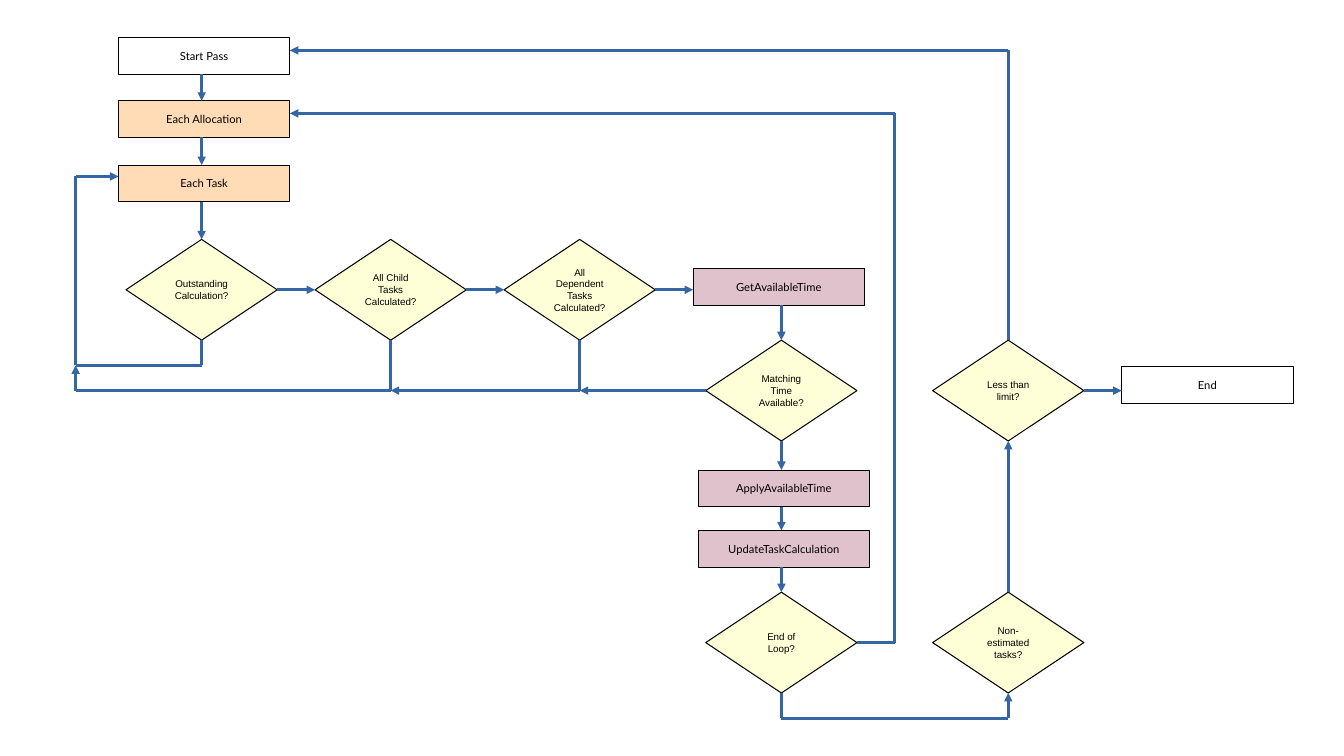
import pptx
import pptx.dml.color
import pptx.enum.shapes
import pptx.enum.text
import pptx.oxml
import pptx.oxml.ns
import pptx.util

CELL = 0.125
STEP_SIZE = (13.6, 2.9)
DECISION_SIZE = (12, 8)
TOP, LEFT, BOTTOM, RIGHT = range(4)
WHITE, ORANGE, PINK, YELLOW = "FFFFFF", "FFDBB6", "E0C2CD", "FFFFD7"
BLACK, BLUE = "000000", "3465A4"


def grid(cells):
    """Turn a count of grid cells into a length."""
    return pptx.util.Inches(cells * CELL)


def paint(target, colour):
    """Apply a hex colour to a fill."""
    target.solid()
    target.fore_color.rgb = pptx.dml.color.RGBColor.from_string(colour)


def write(shape, text, font="Lato", size=8, colour=BLACK, insets=(0.09, 0.04)):
    """Put centred, formatted text into a shape."""
    frame = shape.text_frame
    frame.word_wrap = True
    frame.vertical_anchor = pptx.enum.text.MSO_ANCHOR.MIDDLE
    frame.margin_left = frame.margin_right = pptx.util.Inches(insets[0])
    frame.margin_top = frame.margin_bottom = pptx.util.Inches(insets[1])
    paragraph = frame.paragraphs[0]
    paragraph.alignment = pptx.enum.text.PP_ALIGN.CENTER
    run = paragraph.add_run()
    run.text = text
    run.font.name = font
    run.font.size = pptx.util.Pt(size)
    paint(run.font.fill, colour)


def add_node(slide, preset, column, row, size, fill, outline):
    """Add an outlined shape with its top left corner on the grid."""
    node = slide.shapes.add_shape(preset, *map(grid, (column, row, *size)))
    node.shadow.inherit = False
    paint(node.fill, fill)
    paint(node.line.fill, BLACK)
    node.line.width = pptx.util.Pt(outline)
    return node


def add_step(slide, text, column, row, fill):
    """Add a rectangular process step."""
    kind = pptx.enum.shapes.MSO_SHAPE.RECTANGLE
    write(add_node(slide, kind, column, row, STEP_SIZE, fill, 0.5), text)


def add_decision(slide, text, column, row):
    """Add a decision diamond centred on a grid point."""
    width, height = DECISION_SIZE
    kind = pptx.enum.shapes.MSO_SHAPE.DIAMOND
    decision = add_node(slide, kind, column - width / 2, row - height / 2,
                        DECISION_SIZE, YELLOW, 0)
    write(decision, text, font="Arial", size=7, insets=(0.1, 0.05))
    return decision


def add_route(slide, *points, start=None, end=None, arrow=True):
    """Join grid points with straight lines, attached to decisions at the ends."""
    segments = []
    for a, b in zip(points, points[1:]):
        segment = slide.shapes.add_connector(
            pptx.enum.shapes.MSO_CONNECTOR.STRAIGHT, *map(grid, (*a, *b)))
        paint(segment.line.fill, BLUE)
        segment.line.width = pptx.util.Pt(0)
        segment.element.spPr.append(pptx.oxml.parse_xml(
            f'<a:effectLst {pptx.oxml.ns.nsdecls("a")}/>'))
        segments.append(segment)
    if start:
        segments[0].begin_connect(*start)
    if end:
        segments[-1].end_connect(*end)
    if arrow:
        outline = segments[-1].element.spPr.find(pptx.oxml.ns.qn("a:ln"))
        outline.append(pptx.oxml.parse_xml(
            f'<a:tailEnd {pptx.oxml.ns.nsdecls("a")} type="triangle"/>'))


def main():
    """Build the task calculation flowchart."""
    deck = pptx.Presentation()
    deck.slide_width = pptx.util.Inches(13.33)
    deck.slide_height = pptx.util.Inches(7.5)
    slide = deck.slides.add_slide(deck.slide_layouts[6])

    for text, column, row, fill in (
        ("Start Pass", 9.4, 3, WHITE),
        ("Each Allocation", 9.4, 8, ORANGE),
        ("Each Task", 9.4, 13.1, ORANGE),
        ("GetAvailableTime", 55, 21.3, PINK),
        ("ApplyAvailableTime", 55.4, 37.3, PINK),
        ("UpdateTaskCalculation", 55.4, 42.1, PINK),
        ("End", 89, 29.1, WHITE),
    ):
        add_step(slide, text, column, row, fill)

    outstanding = add_decision(slide, "Outstanding Calculation?", 16, 23)
    children = add_decision(slide, "All Child Tasks Calculated?", 31, 23)
    dependents = add_decision(slide, "All Dependent Tasks Calculated?", 46, 23)
    matching = add_decision(slide, "Matching Time Available?", 62, 31)
    loop_end = add_decision(slide, "End of Loop?", 62, 51)
    unestimated = add_decision(slide, "Non-estimated tasks?", 80, 51)
    limit = add_decision(slide, "Less than limit?", 80, 31)

    add_route(slide, (16, 5.9), (16, 8))
    add_route(slide, (16, 10.9), (16, 13.1))
    add_route(slide, (16, 16), (16, 19), end=(outstanding, TOP))
    add_route(slide, (22, 23), (25, 23), start=(outstanding, RIGHT), end=(children, LEFT))
    add_route(slide, (37, 23), (40, 23), start=(children, RIGHT), end=(dependents, LEFT))
    add_route(slide, (52, 23), (55, 23), start=(dependents, RIGHT))
    add_route(slide, (62, 24.2), (62, 27), end=(matching, TOP))
    add_route(slide, (62, 35), (62, 37.3), start=(matching, BOTTOM))
    add_route(slide, (62, 40.2), (62, 42.1))
    add_route(slide, (62, 45), (62, 47), end=(loop_end, TOP))

    add_route(slide, (16, 27), (16, 29), (6, 29), (6, 14), (9.4, 14),
              start=(outstanding, BOTTOM))
    add_route(slide, (31, 27), (31, 31), (6, 31), (6, 29), start=(children, BOTTOM))
    add_route(slide, (46, 27), (46, 31), (31, 31), start=(dependents, BOTTOM))
    add_route(slide, (56, 31), (46, 31), start=(matching, LEFT))
    add_route(slide, (68, 51), (71, 51), (71, 9), (23, 9), start=(loop_end, RIGHT))

    add_route(slide, (62, 55), (62, 57), (80, 57), (80, 55),
              start=(loop_end, BOTTOM), end=(unestimated, BOTTOM))
    add_route(slide, (80, 47), (80, 35), start=(unestimated, TOP), end=(limit, BOTTOM))
    add_route(slide, (86, 31), (89, 31), start=(limit, RIGHT))
    add_route(slide, (80, 27), (80, 4), (23, 4), start=(limit, TOP))

    deck.save("out.pptx")


if __name__ == "__main__":
    main()
